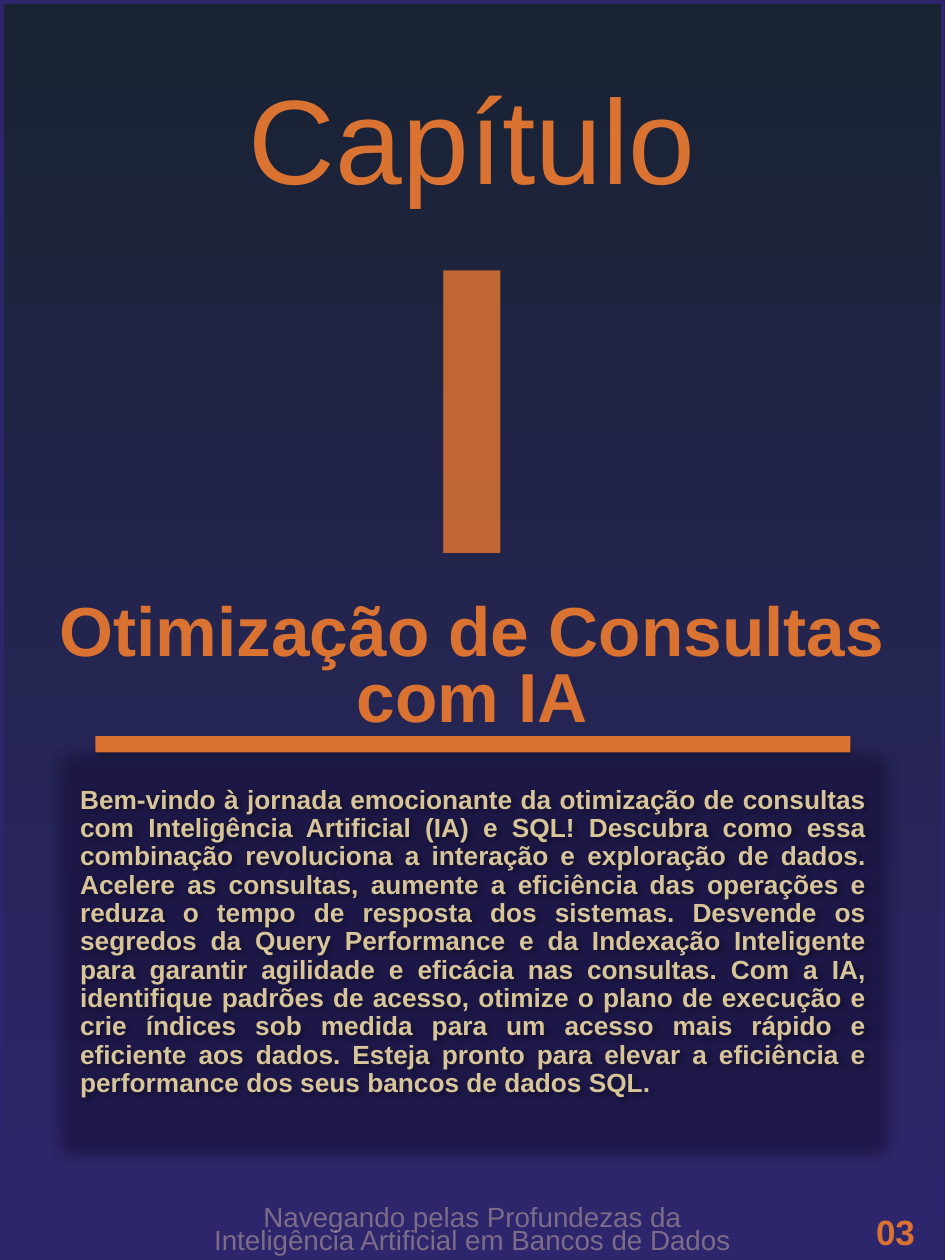
import pptx
import pptx.dml.color
import pptx.enum.shapes
import pptx.enum.text
import pptx.oxml
import pptx.oxml.ns
import pptx.util

RGB = pptx.dml.color.RGBColor
ALIGN = pptx.enum.text.PP_ALIGN
NIGHT = RGB(0x19, 0x23, 0x32)
INDIGO = RGB(0x2E, 0x26, 0x6C)
PANEL = RGB(0x1B, 0x15, 0x45)
ORANGE = RGB(0xDA, 0x72, 0x32)
SAND = RGB(0xD7, 0xC5, 0x99)
PALE = RGB(0xDA, 0xBF, 0xAA)
BLACK = RGB(0, 0, 0)

WIDTH, HEIGHT = 10.5, 14

# Content
CHAPTER = ["Capítulo", "I"]
HEADING = ["Otimização de Consultas com IA"]
INTRO = [
    "Bem-vindo à jornada emocionante da otimização de consultas com "
    "Inteligência Artificial (IA) e SQL! Descubra como essa combinação "
    "revoluciona a interação e exploração de dados. Acelere as consultas, "
    "aumente a eficiência das operações e reduza o tempo de resposta dos "
    "sistemas. Desvende os segredos da Query Performance e da Indexação "
    "Inteligente para garantir agilidade e eficácia nas consultas. Com a IA, "
    "identifique padrões de acesso, otimize o plano de execução e crie "
    "índices sob medida para um acesso mais rápido e eficiente aos dados. "
    "Esteja pronto para elevar a eficiência e performance dos seus bancos de "
    "dados SQL."
]
FOOTER = ["Navegando pelas Profundezas da",
          "Inteligência Artificial em Bancos de Dados"]
PAGE_NUMBER = ["03"]

# Areas: left, top, width, height in inches
FULL = (0, 0, WIDTH, HEIGHT)
PANEL_AREA = (0.45, 8.17, 9.61, 4.85)
CHAPTER_AREA = (0, 0.45, WIDTH, 7.1)
INTRO_AREA = (0.79, 8.26, 8.93, 4.42)
FOOTER_AREA = (0, 13.38, WIDTH, 0.62)
RULE_AREA = (1.06, 8.18, 8.39, 0.18)
HEADING_AREA = (0.26, 6.64, 9.98, 1.6)
NUMBER_AREA = (9.61, 13.4, 0.68, 0.62)

# Formats
CHAPTER_FORMATS = [
    {"size": pptx.util.Pt(96), "name": "Arial", "bold": False},
    {"size": pptx.util.Pt(318), "name": "Roboto Condensed", "bold": True},
]
CHAPTER_OUTLINES = [(4.5, 100), (16, 85)]
HEADING_FORMAT = {"size": pptx.util.Pt(55.5), "name": "Arial", "bold": True}
INTRO_FORMAT = {"size": pptx.util.Pt(21), "name": "Arial", "bold": True}
FOOTER_FORMAT = {"size": pptx.util.Pt(22.2), "name": "Arial", "bold": False}
NUMBER_FORMAT = {"size": pptx.util.Pt(28), "name": "Arial", "bold": True}


def element(text):
    return pptx.oxml.parse_xml(text.replace(">", f" {pptx.oxml.ns.nsdecls('a')}>", 1))


def color_xml(color, alpha):
    return (f'<a:solidFill><a:srgbClr val="{color}">'
            f'<a:alpha val="{alpha * 1000}"/></a:srgbClr></a:solidFill>')


def set_alpha(owner, alpha):
    for color in owner.iter(pptx.oxml.ns.qn("a:srgbClr")):
        color.append(element(f'<a:alpha val="{alpha * 1000}"></a:alpha>'))


def place(shape, area):
    for name, value in zip(("left", "top", "width", "height"), area):
        setattr(shape, name, pptx.util.Inches(value))
    tree = shape.element.getparent()
    tree.append(shape.element)  # placeholders join the stacking order here


def add_shadow(shape, alpha, blur, distance, angle, soft=0):
    for old in shape.element.spPr.findall(pptx.oxml.ns.qn("a:effectLst")):
        shape.element.spPr.remove(old)
    edge = f'<a:softEdge rad="{pptx.util.Pt(soft)}"/>' if soft else ""
    shape.element.spPr.append(element(
        f'<a:effectLst><a:outerShdw blurRad="{pptx.util.Pt(blur)}" '
        f'dist="{pptx.util.Pt(distance)}" dir="{angle * 60000}" algn="ctr" rotWithShape="0">'
        f'<a:srgbClr val="{BLACK}"><a:alpha val="{alpha * 1000}"/></a:srgbClr>'
        f'</a:outerShdw>{edge}</a:effectLst>'))


def add_box(page, area):
    box = page.shapes.add_shape(pptx.enum.shapes.MSO_SHAPE.RECTANGLE, 0, 0, 0, 0)
    place(box, area)
    box.shadow.inherit = False
    box.line.fill.background()
    return box


def write(shape, area, lines, formats, color=None, spacing=0.9, align=ALIGN.CENTER):
    place(shape, area)
    frame = shape.text_frame
    frame.word_wrap = True
    frame.auto_size = pptx.enum.text.MSO_AUTO_SIZE.NONE
    frame.vertical_anchor = pptx.enum.text.MSO_ANCHOR.MIDDLE
    spans = []
    for index, (line, style) in enumerate(zip(lines, formats)):
        para = frame.add_paragraph() if index else frame.paragraphs[0]
        para.alignment, para.line_spacing = align, spacing
        para.space_before = pptx.util.Pt(0)
        span = para.add_run()
        span.text = line
        for name, value in style.items():
            setattr(span.font, name, value)
        if color is not None:
            span.font.color.rgb = color
        spans.append(span)
    return spans


def main():
    deck = pptx.Presentation()
    deck.slide_width = pptx.util.Inches(WIDTH)
    deck.slide_height = pptx.util.Inches(HEIGHT)
    page = deck.slides.add_slide(deck.slide_layouts[1])
    title, body = page.shapes.title, page.placeholders[1]

    # Framed gradient background
    backdrop = add_box(page, FULL)
    backdrop.fill.gradient()
    backdrop.fill.gradient_angle = 270
    for stop, color in zip(backdrop.fill.gradient_stops, (NIGHT, INDIGO)):
        stop.color.rgb = color
    for stop, position in zip(backdrop.fill.gradient_stops, (0, 1)):
        stop.position = position
    backdrop.line.color.rgb = INDIGO
    backdrop.line.width = pptx.util.Pt(6)

    # Soft panel behind the introduction
    panel = add_box(page, PANEL_AREA)
    panel.fill.solid()
    panel.fill.fore_color.rgb = PANEL
    set_alpha(panel.element.spPr, 52)
    add_shadow(panel, 40, 4, 3, 45, soft=12.5)

    # Chapter word and numeral, drawn as outlined letters
    chapter = page.shapes.add_textbox(0, 0, 0, 0)
    spans = write(chapter, CHAPTER_AREA, CHAPTER, CHAPTER_FORMATS)
    for span, (weight, alpha) in zip(spans, CHAPTER_OUTLINES):
        span.font.fill.background()
        span.font._element.insert(0, element(
            f'<a:ln w="{pptx.util.Pt(weight)}">{color_xml(ORANGE, alpha)}</a:ln>'))

    # Introduction
    write(body, INTRO_AREA, INTRO, [INTRO_FORMAT], SAND, align=ALIGN.JUSTIFY)
    properties = body.text_frame.paragraphs[0]._p.get_or_add_pPr()
    properties.set("marL", "0")
    properties.set("indent", "0")
    properties.append(element("<a:buNone></a:buNone>"))
    add_shadow(body, 40, 4, 3, 45)

    # Footer
    footer = page.shapes.add_textbox(0, 0, 0, 0)
    for span in write(footer, FOOTER_AREA, FOOTER, [FOOTER_FORMAT] * 2, PALE, 0.7):
        set_alpha(span.font._element, 45)

    # Rule, heading and page number
    rule = add_box(page, RULE_AREA)
    rule.fill.solid()
    rule.fill.fore_color.rgb = ORANGE
    add_shadow(rule, 32, 3.5, 2.2, 90)
    write(title, HEADING_AREA, HEADING, [HEADING_FORMAT], ORANGE, 0.8)
    number = page.shapes.add_textbox(0, 0, 0, 0)
    write(number, NUMBER_AREA, PAGE_NUMBER, [NUMBER_FORMAT], ORANGE)

    deck.save("out.pptx")


if __name__ == "__main__":
    main()
